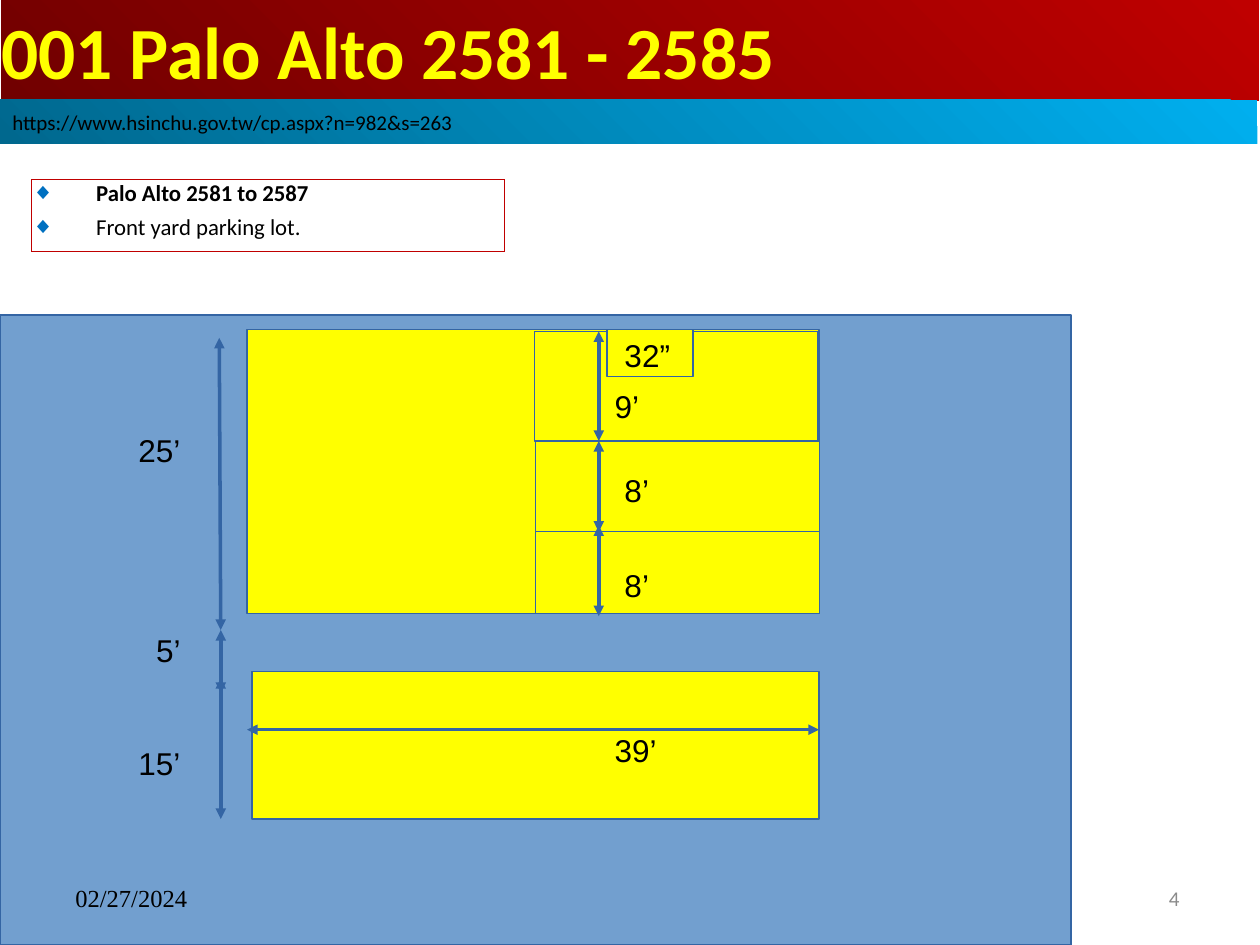
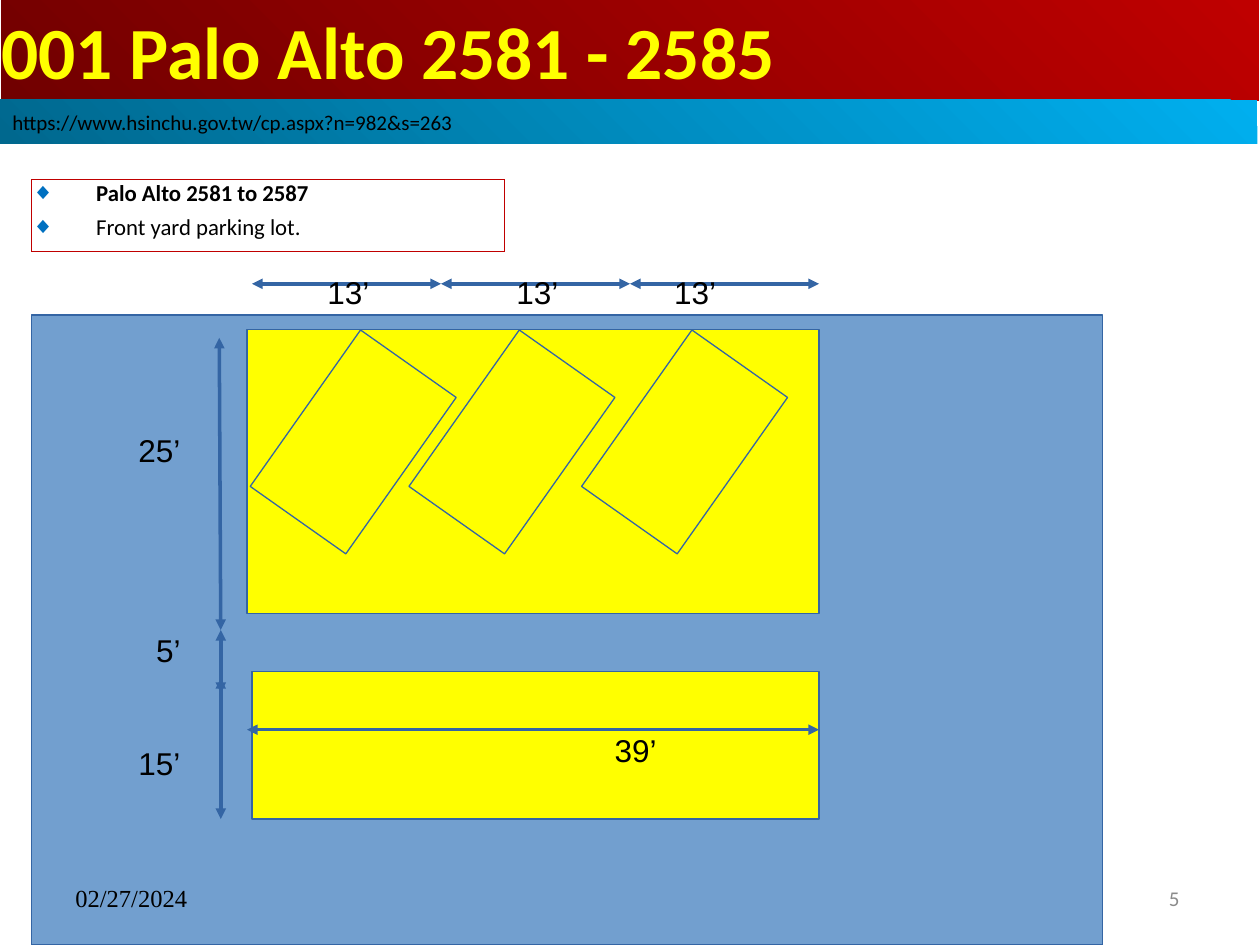
from pptx import Presentation
from pptx import util as u
from pptx.dml import color
from pptx.enum import shapes, text
from pptx.oxml import ns
from lxml import etree

RED, CYAN = ("BF0000", "710000"), ("00AFEF", "00688E")
BLUE, EDGE, GOLD = "729FCF", "3465A4", "FFFF00"


def hue(code):
    return color.RGBColor.from_string(code)


def write(shape, words, size=18, font="Arial", ink="000000", bold=False,
          align=text.PP_ALIGN.LEFT, anchor=text.MSO_ANCHOR.TOP, pad=(0.25, 0.13)):
    frame = shape.text_frame
    frame.text = words
    frame.word_wrap = True
    frame.auto_size = text.MSO_AUTO_SIZE.NONE
    frame.vertical_anchor = anchor
    frame.margin_left = frame.margin_right = u.Cm(pad[0])
    frame.margin_top = frame.margin_bottom = u.Cm(pad[1])
    for para in frame.paragraphs:
        para.alignment = align
        for run in para.runs:
            run.font.size = u.Pt(size)
            run.font.name = font
            run.font.bold = bold
            run.font.color.rgb = hue(ink)


deck = Presentation()
deck.slide_width, deck.slide_height = u.Cm(25.4), u.Cm(19.05)
mid = text.MSO_ANCHOR.MIDDLE

house = (4.98, 6.65, 11.53, 5.72, 0)
drive = (5.08, 13.54, 11.43, 2.97, 0)
sizes = [(4.42, 6.81, 4.45, 12.7), (4.45, 13.67, 4.45, 16.51),
         (4.45, 12.7, 4.45, 13.97), (4.98, 14.71, 16.51, 14.71)]
marks = [("25’", 2.54, 8.56), ("15’", 2.54, 14.86),
         ("5’", 2.9, 12.6), ("39’", 12.14, 14.6)]

plans = [
    dict(page="4", left=0,
         stalls=[(10.8, 10.72, 5.72, 1.65, 0), (10.8, 8.89, 5.72, 1.83, 0),
                 (10.77, 6.68, 5.72, 2.21, 0), (12.24, 6.65, 1.73, 0.94, 0)],
         spans=[(12.07, top, 12.07, end) for top, end in
                ((8.89, 10.72), (10.59, 12.42), (6.68, 8.89))],
         notes=[("8’", 12.34, 9.37), ("8’", 12.34, 11.28),
                ("32”", 12.34, 6.65), ("9’", 12.14, 7.67)]),
    dict(page="5", left=0.64,
         stalls=[(x, 6.98, 2.36, 3.86, 35.2) for x in (5.94, 9.14, 12.62)],
         spans=[(5.08 + 3.81 * i, 5.72, 8.89 + 3.81 * i, 5.72) for i in range(3)],
         notes=[("13’", x, 5.38) for x in (6.35, 10.16, 13.34)]),
]

for plan in plans:
    slide = deck.slides.add_slide(deck.slide_layouts[1])
    title, body = slide.shapes.title, slide.placeholders[1]
    band = slide.shapes.add_shape(shapes.MSO_SHAPE.RECTANGLE, 0, 0, 0, 0)
    band.shadow.inherit = False
    band.line.fill.background()

    for shape, x, y, w, h in ((title, 0.03, 0, 25.35, 2.03),
                              (body, 0.64, 3.61, 9.53, 1.47),
                              (band, 0, 2.01, 25.35, 0.89)):
        shape.left, shape.top = u.Cm(x), u.Cm(y)
        shape.width, shape.height = u.Cm(w), u.Cm(h)
    for shape, tones in ((title, RED), (band, CYAN)):
        shape.fill.gradient()
        shape.fill.gradient_angle = 225
        for stop, tone in zip(shape.fill.gradient_stops, tones):
            stop.color.rgb = hue(tone)

    write(title, "001 Palo Alto 2581 - 2585", size=42, font="Calibri",
          ink=GOLD, bold=True, anchor=mid, pad=(0, 0))
    write(band, "https://www.hsinchu.gov.tw/cp.aspx?n=982&s=263",
          size=12, font="Calibri", anchor=mid)
    write(body, "Palo Alto 2581 to 2587\nFront yard parking lot.",
          size=13, font="Calibri", pad=(0, 0))
    body.line.color.rgb = hue("C00000")
    body.line.width = u.Pt(0)
    body.text_frame.paragraphs[0].runs[0].font.bold = True
    for para in body.text_frame.paragraphs:
        para.space_before = u.Pt(3.6)
        props = para._p.get_or_add_pPr()
        props.set("marL", str(u.Cm(1.3)))
        props.set("indent", str(-u.Cm(1.3)))
        tint = etree.SubElement(props, ns.qn("a:buClr"))
        etree.SubElement(tint, ns.qn("a:srgbClr"), val="0070C0")
        etree.SubElement(props, ns.qn("a:buChar"), char="◆")

    yard = (plan["left"], 6.35, 21.59, 12.7, 0)
    for x, y, w, h, turn in [yard, house, drive] + plan["stalls"]:
        box = slide.shapes.add_shape(shapes.MSO_SHAPE.RECTANGLE,
                                     u.Cm(x), u.Cm(y), u.Cm(w), u.Cm(h))
        box.rotation = turn
        box.shadow.inherit = False
        box.fill.solid()
        box.fill.fore_color.rgb = hue(BLUE if h == yard[3] else GOLD)
        box.line.color.rgb = hue(EDGE)
        box.line.width = u.Pt(0)

    for ends in sizes + plan["spans"]:
        span = slide.shapes.add_connector(shapes.MSO_CONNECTOR.STRAIGHT,
                                          *[u.Cm(end) for end in ends])
        span.line.color.rgb = hue(EDGE)
        span.line.width = u.Pt(0)
        for tip in ("a:headEnd", "a:tailEnd"):
            etree.SubElement(span.line._get_or_add_ln(), ns.qn(tip), type="triangle")
        etree.SubElement(span._element.spPr, ns.qn("a:effectLst"))

    for words, x, y in marks + plan["notes"]:
        write(slide.shapes.add_textbox(u.Cm(x), u.Cm(y), u.Cm(1.91), u.Cm(0.97)), words)

    for words, x, look in (
            ("02/27/2024", 1.27, dict(size=14, font="Times New Roman")),
            (plan["page"], 18.21, dict(size=12, font="Calibri", ink="8B8B8B",
                                       align=text.PP_ALIGN.RIGHT))):
        foot = slide.shapes.add_textbox(u.Cm(x), u.Cm(17.65), u.Cm(5.82), u.Cm(0.91))
        write(foot, words, anchor=mid, **look)

deck.save("out.pptx")
